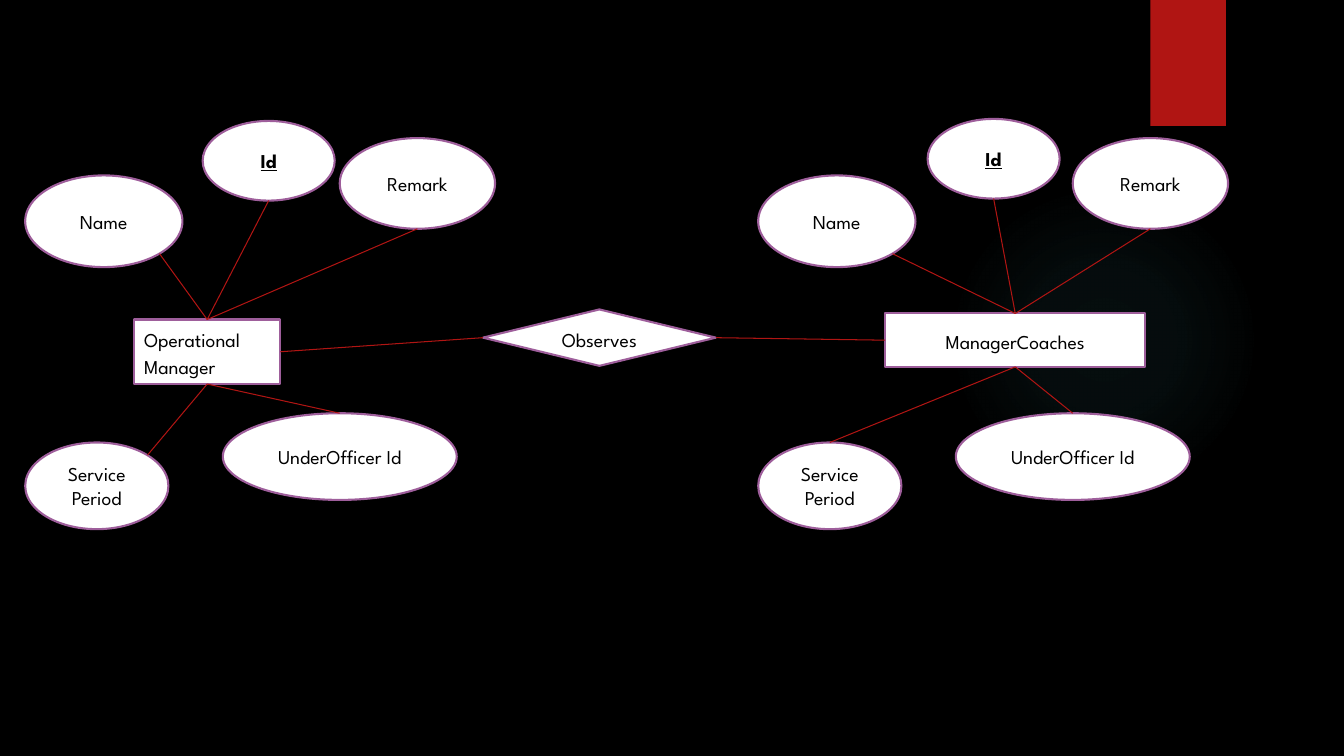
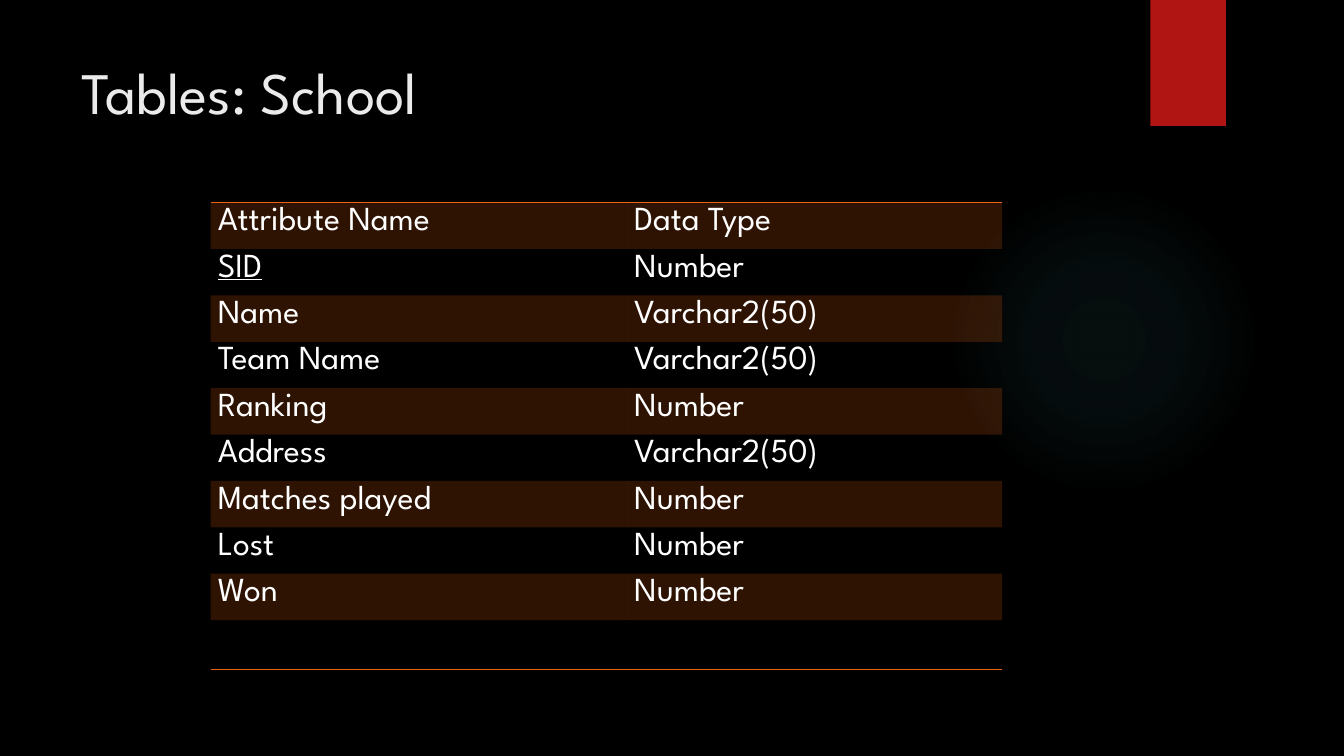
from lxml import etree
from pptx import Presentation
from pptx.dml.color import RGBColor
from pptx.enum.shapes import MSO_CONNECTOR, MSO_SHAPE
from pptx.enum.text import MSO_ANCHOR, PP_ALIGN
from pptx.oxml import parse_xml
from pptx.oxml.ns import nsdecls, qn
from pptx.util import Inches, Pt

BLACK = RGBColor(0x00, 0x00, 0x00)
WHITE = RGBColor(0xFF, 0xFF, 0xFF)
TITLE_GREY = RGBColor(0xEB, 0xEB, 0xEB)
RED = RGBColor(0xB0, 0x15, 0x13)
PURPLE = RGBColor(0x9E, 0x5E, 0x9B)
ORANGE = RGBColor(0xEA, 0x63, 0x12)
TEAL = RGBColor(0x50, 0xB9, 0xC1)
FONT = "League Spartan"

OVAL, RECT, DIAMOND = MSO_SHAPE.OVAL, MSO_SHAPE.RECTANGLE, MSO_SHAPE.DIAMOND
STRAIGHT = MSO_CONNECTOR.STRAIGHT
LEFT, CENTER = PP_ALIGN.LEFT, PP_ALIGN.CENTER
MIDDLE = MSO_ANCHOR.MIDDLE

NO_GRID_STYLE = "{2D5ABB26-0587-4C30-8999-92F81FD0307C}"

# Connection sites shared by rectangles and diamonds
TOP, LEFT_SIDE, BOTTOM, RIGHT_SIDE = range(4)
# Connection sites of ovals, with their offset from the centre per unit of size
OVAL_TOP, OVAL_BOTTOM, OVAL_LOWER_RIGHT, OVAL_UPPER_RIGHT = 0, 4, 5, 7
OVAL_OFFSETS = {
    OVAL_TOP: (0, -0.5),
    OVAL_BOTTOM: (0, 0.5),
    OVAL_LOWER_RIGHT: (0.354, 0.354),
    OVAL_UPPER_RIGHT: (0.354, -0.354),
}

# Each entity: label, box, alignment, shift of its attributes,
# place of its Id and the site where its service period is joined
ENTITIES = [
    ("Operational Manager", (1.33, 3.17, 1.45, 0.64), LEFT, 0,
     (2.01, 1.2), OVAL_UPPER_RIGHT),
    ("ManagerCoaches", (8.78, 3.11, 2.58, 0.53), CENTER, 7.27,
     (9.2, 1.18), OVAL_TOP),
]

SCHOOL_ROWS = [
    ("Attribute Name", "Data Type"),
    ("SID", "Number"),
    ("Name", "Varchar2(50)"),
    ("Team Name", "Varchar2(50)"),
    ("Ranking", "Number"),
    ("Address", "Varchar2(50)"),
    ("Matches played", "Number"),
    ("Lost", "Number"),
    ("Won", "Number"),
    ("", ""),
]


def style_text(paragraph, size, color, bold=False, underline=False):
    for run in paragraph.runs:
        font = run.font
        font.name, font.size = FONT, Pt(size)
        font.color.rgb = color
        font.bold, font.underline = bold, underline


def space_body(paragraph):
    paragraph.line_spacing = 1.15
    paragraph.space_after = Pt(10)


def add_plain_shape(slide, kind, box, fill):
    shape = slide.shapes.add_shape(kind, *map(Inches, box))
    shape.shadow.inherit = False
    shape.fill.solid()
    shape.fill.fore_color.rgb = fill
    shape.line.fill.background()
    return shape


def add_glow(slide):
    glow = add_plain_shape(slide, OVAL, (9.41, 1.83, 3.08, 3.08), TEAL)
    stops = "".join(
        f'<a:gs pos="{pos * 1000}"><a:srgbClr val="{TEAL}">'
        f'<a:alpha val="{alpha * 1000}"/></a:srgbClr></a:gs>'
        for pos, alpha in [(0, 7), (36, 6), (69, 0)]
    )
    gradient = parse_xml(
        f'<a:gradFill {nsdecls("a")} rotWithShape="1"><a:gsLst>{stops}</a:gsLst>'
        '<a:path path="circle"><a:fillToRect l="50000" t="50000" r="50000" '
        'b="50000"/></a:path></a:gradFill>'
    )
    properties = glow._element.spPr
    properties.replace(properties.find(qn("a:solidFill")), gradient)


def new_slide(prs):
    slide = prs.slides.add_slide(prs.slide_layouts[6])
    add_glow(slide)
    add_plain_shape(slide, RECT, (11.41, 0, 0.75, 1.25), RED)
    return slide


def add_title(slide, text):
    title = slide.shapes.add_textbox(
        Inches(0.71), Inches(0.5), Inches(10.79), Inches(1.53))
    title.text_frame.word_wrap = True
    title.text_frame.text = text
    style_text(title.text_frame.paragraphs[0], 42, TITLE_GREY)


def add_node(slide, kind, box, label, align=CENTER, is_key=False):
    node = add_plain_shape(slide, kind, box, WHITE)
    node.line.color.rgb = PURPLE
    node.line.width = Pt(1.5)
    frame = node.text_frame
    frame.word_wrap = True
    frame.vertical_anchor = MIDDLE
    frame.text = label
    paragraph = frame.paragraphs[0]
    paragraph.alignment = align
    if kind != OVAL:
        space_body(paragraph)
    style_text(paragraph, 14, BLACK, bold=is_key, underline=is_key)
    return node


def add_link(slide, start, start_site, end_x=0, end_y=0):
    link = slide.shapes.add_connector(STRAIGHT, 0, 0, end_x, end_y)
    link.begin_connect(start, start_site)
    link.line.color.rgb = RED
    link.line.width = Pt(0.75)
    etree.SubElement(link._element.spPr, qn("a:effectLst"))
    return link


def link_attribute(slide, entity, entity_site, attribute, site):
    dx, dy = OVAL_OFFSETS[site]
    link = add_link(
        slide, entity, entity_site,
        int(attribute.left + attribute.width * (0.5 + dx)),
        int(attribute.top + attribute.height * (0.5 + dy)))
    # Glue the far end to the oval's own site
    glue = etree.SubElement(
        link._element.nvCxnSpPr.cNvCxnSpPr, qn("a:endCxn"))
    glue.set("id", str(attribute.shape_id))
    glue.set("idx", str(site))


def add_entity(slide, label, box, align, shift, id_place, service_site):
    entity = add_node(slide, RECT, box, label, align)
    attributes = [
        ("Name", (0.25 + shift, 1.74, 1.56, 0.91), TOP, OVAL_LOWER_RIGHT),
        ("Id", (*id_place, 1.31, 0.79), TOP, OVAL_BOTTOM),
        ("Remark", (3.37 + shift, 1.37, 1.54, 0.9), TOP, OVAL_BOTTOM),
        ("Service Period", (0.25 + shift, 4.39, 1.42, 0.86), BOTTOM,
         service_site),
        ("UnderOfficer Id", (2.21 + shift, 4.1, 2.32, 0.86), BOTTOM, OVAL_TOP),
    ]
    for name, place, entity_site, site in attributes:
        attribute = add_node(slide, OVAL, place, name, is_key=name == "Id")
        link_attribute(slide, entity, entity_site, attribute, site)
    return entity


def add_cell_border(cell, side):
    border = parse_xml(
        f'<a:{side} {nsdecls("a")} w="12700"><a:solidFill>'
        f'<a:srgbClr val="{ORANGE}"/></a:solidFill></a:{side}>')
    cell._tc.get_or_add_tcPr().insert(0, border)


def fill_cell(cell, banded):
    if not banded:
        cell.fill.background()
        return
    cell.fill.solid()
    cell.fill.fore_color.rgb = ORANGE
    color = cell._tc.tcPr.find(".//" + qn("a:srgbClr"))
    etree.SubElement(color, qn("a:alpha")).set("val", "20000")


def add_attribute_table(slide, rows, key):
    last = len(rows) - 1
    table = slide.shapes.add_table(
        len(rows), 2, Inches(2.09), Inches(2.01),
        Inches(7.85), Inches(4.63)).table
    table.first_row = table.horz_banding = False
    table._tbl.tblPr.find(qn("a:tableStyleId")).text = NO_GRID_STYLE
    for column, width in zip(table.columns, (4.13, 3.72)):
        column.width = Inches(width)

    for r, texts in enumerate(rows):
        table.rows[r].height = Inches(0.49 if r == last else 0.46)
        for c, text in enumerate(texts):
            cell = table.cell(r, c)
            fill_cell(cell, banded=r % 2 == 0)
            if r in (0, last):
                add_cell_border(cell, "lnT" if r == 0 else "lnB")
            if text:
                cell.margin_left = cell.margin_right = Inches(0.07)
                cell.margin_top = cell.margin_bottom = 0
                cell.text_frame.text = text
                paragraph = cell.text_frame.paragraphs[0]
                space_body(paragraph)
                style_text(paragraph, 24, WHITE, underline=text == key)


def build_diagram_slide(prs):
    slide = new_slide(prs)
    manager, coaches = [add_entity(slide, *entity) for entity in ENTITIES]
    observes = add_node(slide, DIAMOND, (4.79, 3.07, 2.31, 0.56), "Observes")
    add_link(slide, manager, RIGHT_SIDE).end_connect(observes, LEFT_SIDE)
    add_link(slide, observes, RIGHT_SIDE).end_connect(coaches, LEFT_SIDE)


def build_school_slide(prs):
    slide = new_slide(prs)
    add_title(slide, "Tables: School")
    add_attribute_table(slide, SCHOOL_ROWS, key="SID")


def main():
    prs = Presentation()
    prs.slide_width, prs.slide_height = Inches(13.33), Inches(7.5)
    background = prs.slide_master.background.fill
    background.solid()
    background.fore_color.rgb = BLACK
    build_diagram_slide(prs)
    build_school_slide(prs)
    prs.save("out.pptx")


if __name__ == "__main__":
    main()
